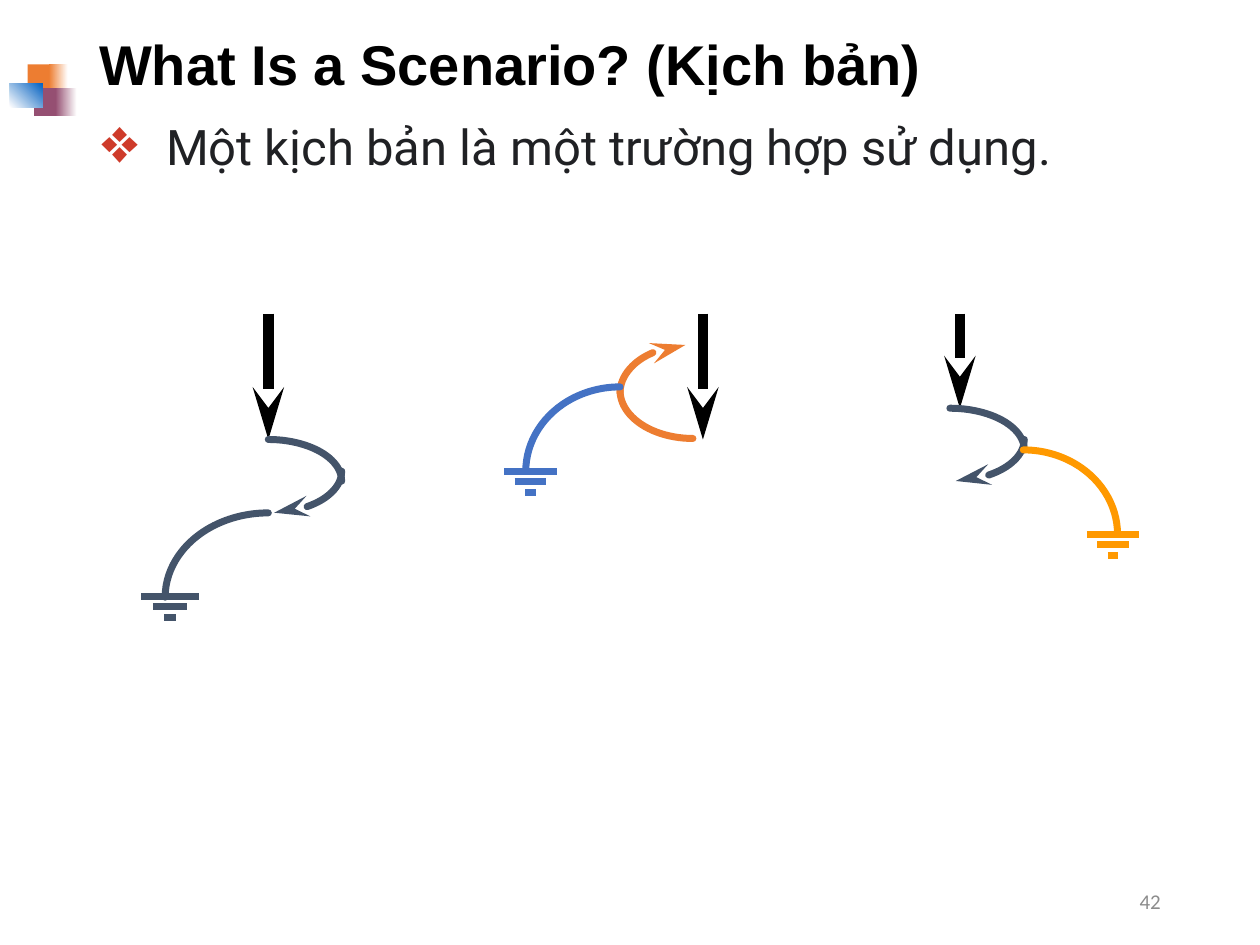
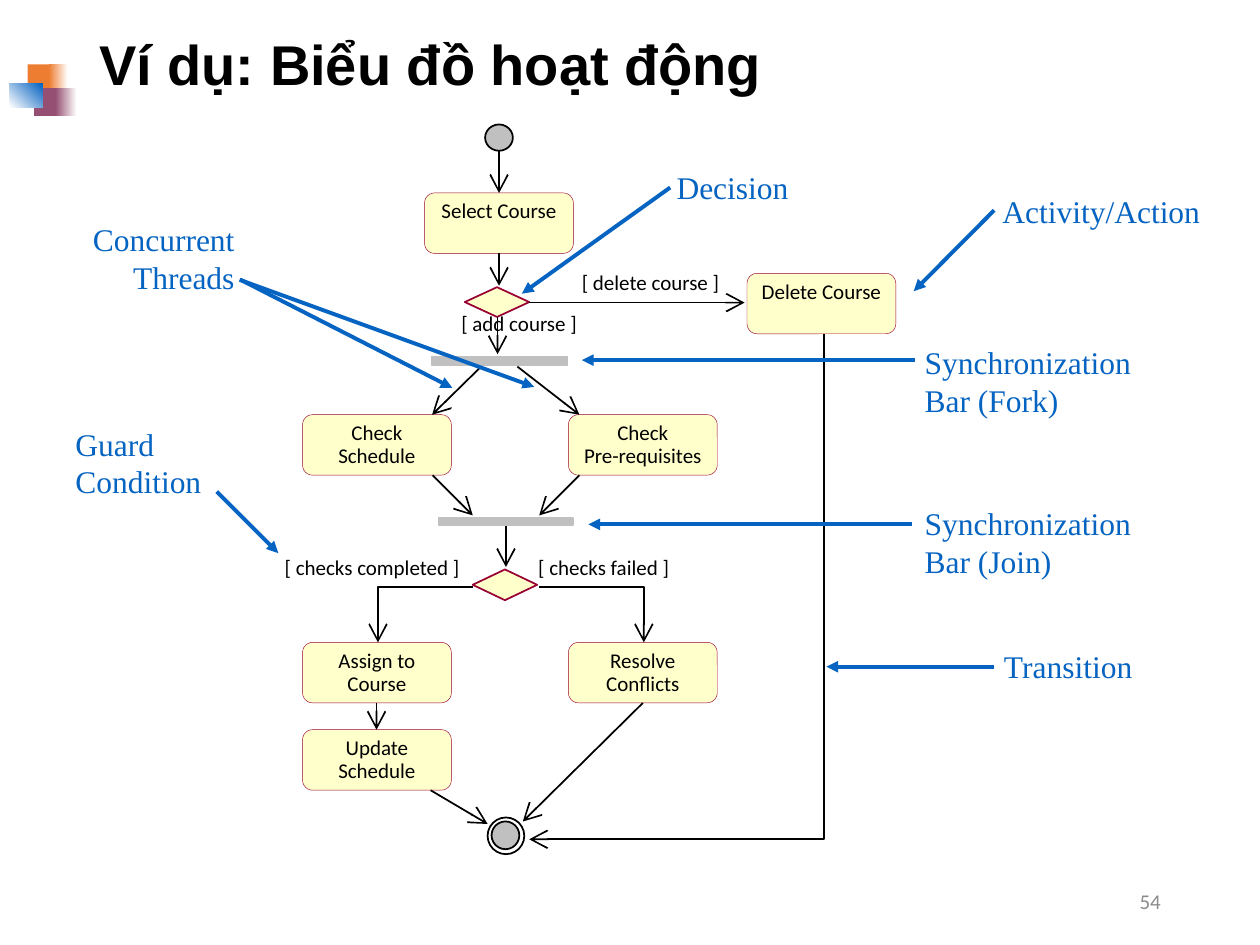
from lxml.etree import SubElement
from pptx import Presentation
from pptx.dml.color import RGBColor
from pptx.enum.shapes import MSO_CONNECTOR, MSO_SHAPE
from pptx.enum.text import MSO_ANCHOR, PP_ALIGN
from pptx.oxml.ns import qn
from pptx.util import Cm, Pt

COLORS = {
    "black": "000000", "white": "FFFFFF", "text": "202124", "number": "8C8C8C",
    "bullet": "CE3B2A", "orange": "ED7D31", "plum": "954F72", "blue": "0563C1",
    "slate": "44546A", "royal": "4472C4", "amber": "FF9900",
    "cream": "FFFFCC", "maroon": "990033", "gray": "C0C0C0",
}
ARROW_SIZES = {
    "arrow": {"w": "lg", "len": "lg"},
    "stealth": {"w": "med", "len": "lg"},
    "triangle": {"w": "med", "len": "med"},
}

EMBLEM = [
    ((0.56, 1.3, 0.51, 0.56), ["orange"], 0),
    ((0.99, 1.3, 0.38, 0.56), ["orange", "white"], 0),
    ((0.69, 1.78, 0.48, 0.56), ["plum"], 0),
    ((1.12, 1.78, 0.43, 0.56), ["plum", "white"], 0),
    ((0.2, 1.68, 0.66, 0.48), ["white", "blue"], 45),
]

SCENARIO_TITLE = "What Is a Scenario? (Kịch bản)"
SCENARIO_TEXT = "Một kịch bản là một trường hợp sử dụng."
SCENARIOS = [
    {"entry": (5.41, 6.32, 8.86), "ground": (3.43, 12.02, 0.58, "slate"),
     "arcs": [(5.41, 9.7, 1.48, 0.84, 270, 0, "slate", False),
              (5.41, 9.5, 1.48, 0.84, 0, 82, "slate", True),
              (5.41, 12.04, 2.08, 1.7, 180, 270, "slate", False)]},
    {"entry": (14.17, 6.32, 8.86), "ground": (10.69, 9.5, 0.53, "royal"),
     "arcs": [(13.97, 7.87, 1.47, 0.97, 90, 180, "orange", False),
              (13.97, 7.92, 1.47, 0.97, 180, 261, "orange", True),
              (12.5, 9.5, 1.9, 1.7, 180, 270, "royal", False)]},
    {"entry": (19.35, 6.32, 8.23), "ground": (22.44, 10.77, 0.53, "amber"),
     "arcs": [(19.15, 9.07, 1.5, 0.84, 270, 0, "slate", False),
              (19.15, 8.86, 1.5, 0.84, 0, 82, "slate", True),
              (20.63, 10.77, 1.9, 1.7, 270, 0, "amber", False)]},
]
GROUND_RATIOS = (1, 0.6, 0.2)
GROUND_STEP = 0.21

ACTIVITY_TITLE = "Ví dụ: Biểu đồ hoạt động"
ACTIVITY_SIZE = (3.0, 1.22)
ACTIVITIES = [
    (8.56, 3.89, "Select Course"),
    (15.06, 5.51, "Delete Course"),
    (6.1, 8.36, "Check\nSchedule"),
    (11.46, 8.36, "Check\nPre-requisites"),
    (6.1, 12.95, "Assign to\nCourse"),
    (11.46, 12.95, "Resolve\nConflicts"),
    (6.1, 14.71, "Update\nSchedule"),
]
NODES = [
    (MSO_SHAPE.OVAL, (9.78, 2.51, 0.56, 0.53), "gray", "black"),
    (MSO_SHAPE.OVAL, (9.83, 16.48, 0.74, 0.74), None, "black"),
    (MSO_SHAPE.OVAL, (9.91, 16.56, 0.56, 0.56), "gray", "black"),
    (MSO_SHAPE.DIAMOND, (9.37, 5.79, 1.3, 0.6), "cream", "maroon"),
    (MSO_SHAPE.DIAMOND, (9.53, 11.48, 1.3, 0.62), "cream", "maroon"),
    (MSO_SHAPE.RECTANGLE, (8.71, 7.19, 2.72, 0.18), "gray", "gray"),
    (MSO_SHAPE.RECTANGLE, (8.84, 10.44, 2.72, 0.15), "gray", "gray"),
]
FLOWS = [
    [(10.06, 3.05), (10.06, 3.89)],
    [(10.06, 5.11), (10.06, 5.76)],
    [(10.03, 6.39), (10.03, 7.14)],
    [(10.67, 6.1), (15.01, 6.1)],
    [(9.7, 7.39), (8.71, 8.36)],
    [(10.43, 7.39), (11.68, 8.36)],
    [(8.72, 9.58), (9.53, 10.39)],
    [(11.68, 9.58), (10.87, 10.39)],
    [(10.2, 10.6), (10.2, 11.43)],
    [(9.53, 11.84), (7.62, 11.84), (7.62, 12.95)],
    [(10.87, 11.84), (12.98, 11.84), (12.98, 12.95)],
    [(7.59, 14.17), (7.59, 14.71)],
    [(8.68, 15.93), (9.83, 16.61)],
    [(12.96, 14.17), (10.54, 16.56)],
    [(16.61, 6.73), (16.61, 16.92), (10.67, 16.92)],
]
GUARDS = [
    (9.3, 6.27, 2.79, "[ add course ]"),
    (11.73, 5.44, 3.0, "[ delete course ]"),
    (5.74, 11.18, 3.86, "[ checks completed ]"),
    (10.85, 11.18, 2.92, "[ checks failed ]"),
]
CALLOUTS = [
    ("Decision", (13.34, 3.23, 3.1, 1.07), [((13.51, 3.78), (10.52, 5.92))]),
    ("Activity/Action", (19.91, 3.73, 4.9, 1.07), [((20.04, 4.24), (18.42, 5.87))]),
    ("Concurrent Threads", (0.79, 4.29, 4.24, 1.83),
     [((4.85, 5.64), (9.12, 7.82)), ((4.83, 5.64), (10.77, 7.8))]),
    ("Synchronization\nBar (Fork)", (18.34, 6.76, 5.21, 1.83), [((18.44, 7.26), (11.73, 7.26))]),
    ("Guard\nCondition", (1.22, 8.41, 3.33, 1.83), [((4.37, 9.91), (5.61, 11.15))]),
    ("Synchronization\nBar (Join)", (18.34, 10.01, 5.21, 1.83), [((18.39, 10.57), (11.86, 10.57))]),
    ("Transition", (19.94, 12.9, 3.61, 1.07), [((20.04, 13.44), (16.66, 13.44))]),
]


def rgb(name):
    return RGBColor.from_string(COLORS[name])


def write(tf, text, font, size, color, bold=False, align=PP_ALIGN.LEFT,
          anchor=MSO_ANCHOR.TOP, inset=(0.25, 0.13), spacing=None):
    tf.word_wrap = True
    tf.vertical_anchor = anchor
    tf.margin_left = tf.margin_right = Cm(inset[0])
    tf.margin_top = tf.margin_bottom = Cm(inset[1])
    tf.text = text
    for p in tf.paragraphs:
        p.alignment = align
        p.line_spacing = spacing
        p.font.name = font
        p.font.size = Pt(size)
        p.font.bold = bold
        p.font.color.rgb = rgb(color)


def add_text(s, box, text, font, size, color, **options):
    tb = s.shapes.add_textbox(*map(Cm, box))
    write(tb.text_frame, text, font, size, color, **options)
    return tb.text_frame


def set_line(sp, color, width, arrow=None, rounded=False):
    sp.line.color.rgb = rgb(color)
    sp.line.width = Pt(width)
    ln = sp.line._get_or_add_ln()
    if rounded:
        ln.set("cap", "rnd")
    if arrow:
        SubElement(ln, qn("a:tailEnd"), type=arrow, **ARROW_SIZES[arrow])


def add_shape(s, kind, box, fill=None, line=None, width=1):
    sp = s.shapes.add_shape(kind, *map(Cm, box))
    sp.shadow.inherit = False
    if fill:
        sp.fill.solid()
        sp.fill.fore_color.rgb = rgb(fill)
    else:
        sp.fill.background()
    if line:
        set_line(sp, line, width)
    else:
        sp.line.fill.background()
    return sp


def add_path(s, points, color, width, arrow=None):
    pts = [(Cm(x), Cm(y)) for x, y in points]
    if len(pts) == 2:
        sp = s.shapes.add_connector(MSO_CONNECTOR.STRAIGHT, *pts[0], *pts[1])
    else:
        builder = s.shapes.build_freeform(*pts[0], scale=1.0)
        builder.add_line_segments(pts[1:], close=False)
        sp = builder.convert_to_shape()
        sp.fill.background()
    set_line(sp, color, width, arrow)
    SubElement(sp._element.spPr, qn("a:effectLst"))


def add_arc(s, cx, cy, rx, ry, start, end, color, arrow):
    sp = add_shape(s, MSO_SHAPE.ARC, (cx - rx, cy - ry, 2 * rx, 2 * ry))
    sp.adjustments[0] = start * 0.6
    sp.adjustments[1] = end * 0.6
    set_line(sp, color, 4, "stealth" if arrow else None, rounded=True)


def add_slide(prs, title, number):
    s = prs.slides.add_slide(prs.slide_layouts[6])
    for box, colors, angle in EMBLEM:
        sp = add_shape(s, MSO_SHAPE.RECTANGLE, box, colors[0])
        if len(colors) == 2:
            sp.fill.gradient()
            sp.fill.gradient_angle = angle
            for stop, color in zip(sp.fill.gradient_stops, colors):
                stop.color.rgb = rgb(color)
    add_text(s, (1.75, 0.33, 21.9, 2.06), title, "Arial", 32, "black",
             bold=True, anchor=MSO_ANCHOR.MIDDLE, spacing=0.9)
    add_text(s, (17.93, 17.65, 5.72, 1.02), number, "Calibri", 12, "number",
             align=PP_ALIGN.RIGHT, anchor=MSO_ANCHOR.MIDDLE)
    return s


def add_bullet(p, char, color, margin, hanging):
    pPr = p._p.get_or_add_pPr()
    pPr.set("marL", str(Cm(margin)))
    pPr.set("indent", str(-Cm(hanging)))
    bu_clr = pPr.makeelement(qn("a:buClr"), {})
    SubElement(bu_clr, qn("a:srgbClr"), val=COLORS[color])
    bu_size = pPr.makeelement(qn("a:buSzPct"), {"val": "130000"})
    bu_char = pPr.makeelement(qn("a:buChar"), {"char": char})
    for element in (bu_clr, bu_size, bu_char):
        pPr.find(qn("a:defRPr")).addprevious(element)


def build_scenarios(prs):
    s = add_slide(prs, SCENARIO_TITLE, "42")
    tf = add_text(s, (1.75, 2.36, 21.9, 14.38), SCENARIO_TEXT, "Roboto", 28, "text", spacing=0.9)
    add_bullet(tf.paragraphs[0], "❖", "bullet", 1.35, 1.3)
    for scenario in SCENARIOS:
        x, top, bottom = scenario["entry"]
        add_path(s, [(x, top), (x, bottom)], "black", 6, "stealth")
        for arc in scenario["arcs"]:
            add_arc(s, *arc)
        x, y, half, color = scenario["ground"]
        for i, ratio in enumerate(GROUND_RATIOS):
            level = y + i * GROUND_STEP
            add_path(s, [(x - half * ratio, level), (x + half * ratio, level)], color, 4)


def build_activity_diagram(prs):
    s = add_slide(prs, ACTIVITY_TITLE, "54")
    for x, y, label in ACTIVITIES:
        sp = add_shape(s, MSO_SHAPE.ROUNDED_RECTANGLE, (x, y, *ACTIVITY_SIZE),
                       "cream", "maroon", 0.25)
        write(sp.text_frame, label, "Calibri", 12, "black",
              align=PP_ALIGN.CENTER, inset=(0, 0.1), spacing=0.9)
    for node in NODES:
        add_shape(s, *node)
    for points in FLOWS:
        add_path(s, points, "black", 1, "arrow")
    for x, y, width, label in GUARDS:
        add_text(s, (x, y, width, 0.51), label, "Calibri", 12, "black", inset=(0, 0))
    for label, box, pointers in CALLOUTS:
        align = PP_ALIGN.RIGHT if len(pointers) > 1 else PP_ALIGN.LEFT
        add_text(s, box, label, "Times New Roman", 18, "blue", align=align, inset=(0.3, 0.15))
        for pointer in pointers:
            add_path(s, pointer, "blue", 2.25, "triangle")


def main():
    prs = Presentation()
    prs.slide_width, prs.slide_height = Cm(25.4), Cm(19.05)
    build_scenarios(prs)
    build_activity_diagram(prs)
    prs.save("out.pptx")


if __name__ == "__main__":
    main()
